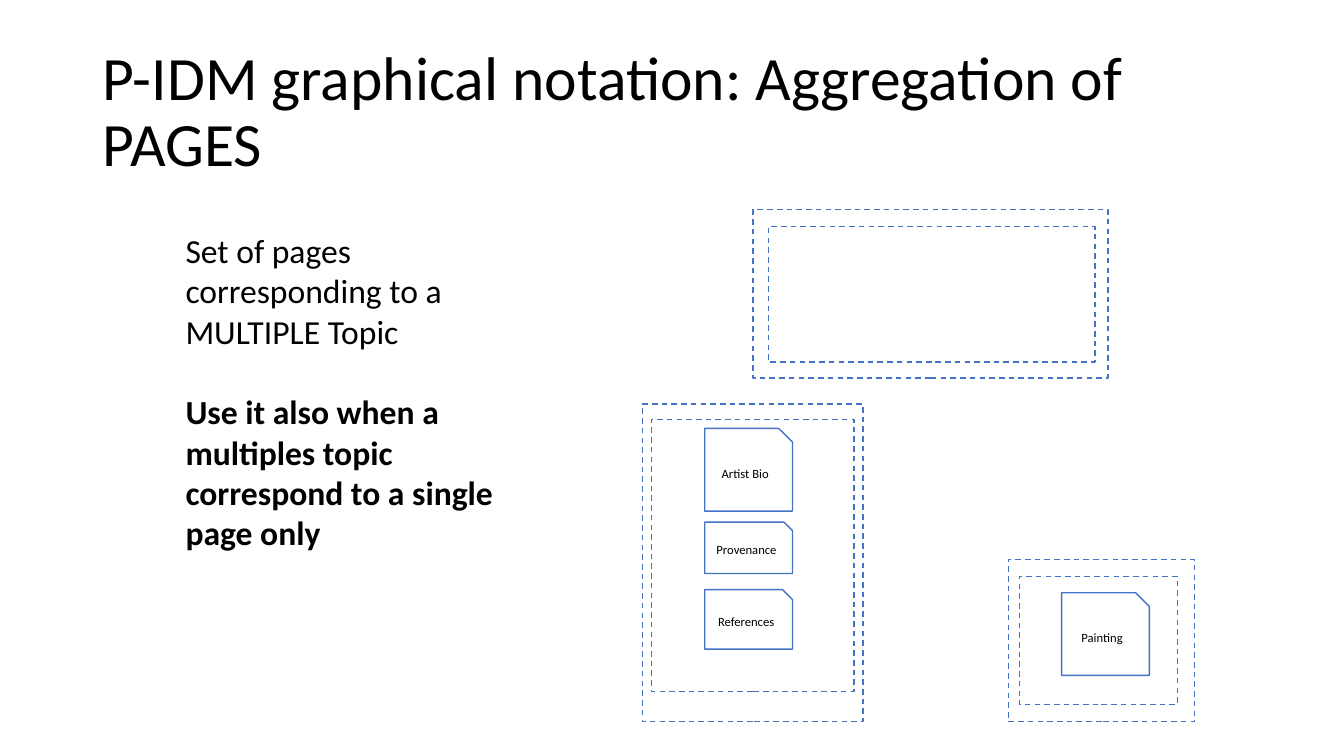
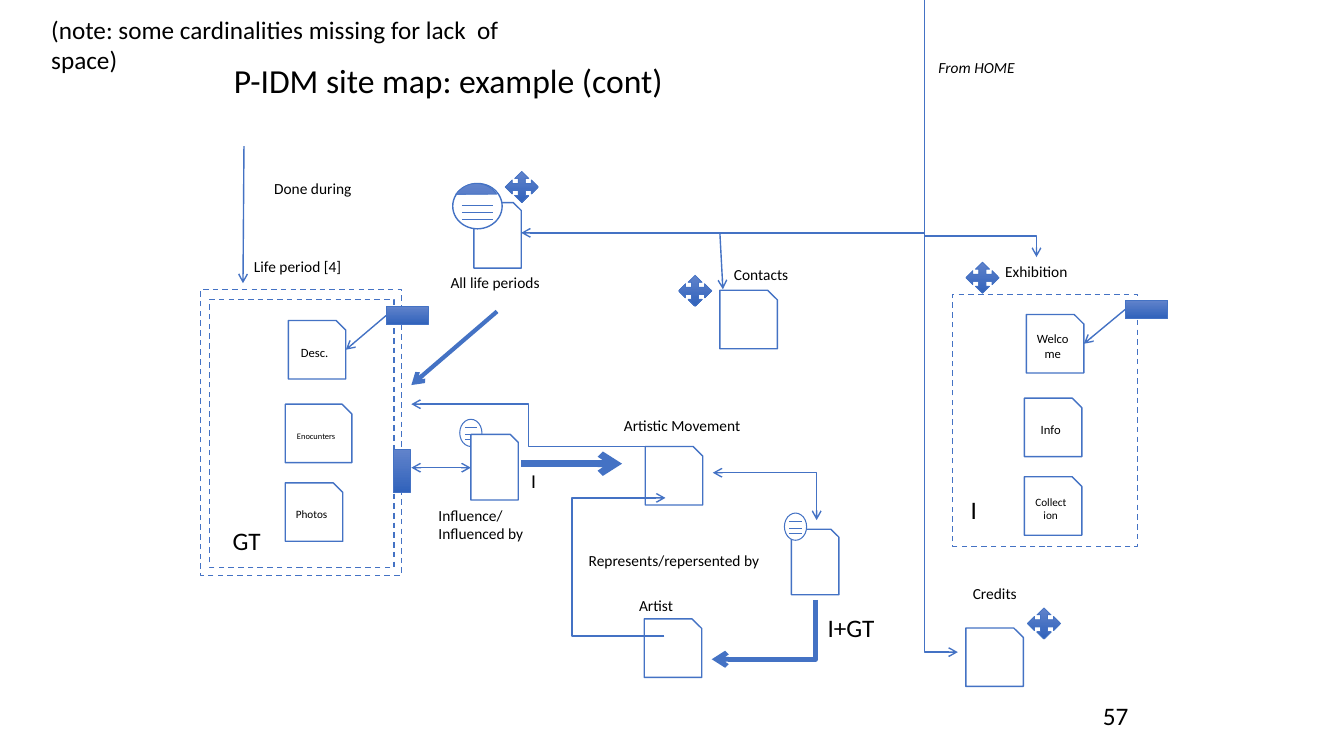
from lxml.etree import SubElement
from pptx import Presentation
from pptx.dml.color import RGBColor
from pptx.enum.dml import MSO_LINE
from pptx.enum.shapes import MSO_CONNECTOR, MSO_SHAPE
from pptx.enum.text import MSO_ANCHOR, MSO_AUTO_SIZE, PP_ALIGN
from pptx.oxml.ns import qn
from pptx.util import Inches, Pt

# Shared look
BLUE = RGBColor(0x44, 0x72, 0xC4)
BLUE_TOP = RGBColor(0x61, 0x83, 0xCB)
BLUE_BOTTOM = RGBColor(0x30, 0x62, 0xBB)
BLACK = RGBColor(0, 0, 0)
WHITE = RGBColor(255, 255, 255)
FONT = "Calibri"
SLIDE_SIZE = (13.33, 7.5)
CARD = (0.57, 0.58)
SHEET = (0.47, 0.65)
TAB = (0.42, 0.18)
CROSS = (0.33, 0.31)
VERTICAL_FIRST, MIDWAY, HORIZONTAL_FIRST = 0, 0.5, 1

# Slide 1: left, top, width, height
AGGREGATION = {
    "title": "P-IDM graphical notation: Aggregation of PAGES",
    "title_at": (0.92, 0.4, 11.5, 1.45),
    "title_size": 44,
    "body_at": (1.24, 2.23, 3.92, 3.33),
    "body": [
        ("Set of pages corresponding to a MULTIPLE Topic", False),
        ("Use it also when a multiples topic correspond to a single page only", True),
    ],
    "frames": [
        (10, 5.55, 1.85, 1.61), (10.11, 5.72, 1.57, 1.27),
        (7.47, 2.08, 3.52, 1.67), (7.62, 2.25, 3.24, 1.34),
        (6.37, 4.01, 2.19, 3.15), (6.46, 4.16, 2.01, 2.7),
    ],
    "pages": [
        ((6.99, 4.25, 0.87, 0.82), "Artist Bio", 9),
        ((6.99, 5.18, 0.87, 0.51), "Provenance", 9),
        ((6.99, 5.85, 0.87, 0.59), "References", 9),
        ((10.53, 5.88, 0.87, 0.82), "Painting", 9),
    ],
}

# Slide 2
SITE_MAP = {
    "title": "P-IDM site map: example (cont)",
    "title_at": (2.22, 0.21, 8.26, 1.22),
    "title_size": 24,
    "frames": [
        (1.99, 2.87, 1.99, 2.84), (2.08, 2.97, 1.83, 2.66),
        (9.45, 2.92, 1.83, 2.5),
    ],
    "pages": [
        ((2.86, 3.18, *CARD), "Desc.", 9),
        ((2.83, 4.01, 0.66, 0.58), "Enocunters", 6),
        ((2.83, 4.79, *CARD), "Photos", 8),
        ((10.18, 3.12, *CARD), "Welcome", 9),
        ((10.16, 3.95, *CARD), "Info", 9),
        ((10.16, 4.73, *CARD), "Collection", 8),
        ((7.14, 2.88, *CARD), "", 9),
        ((9.58, 6.23, *CARD), "", 9),
        ((6.39, 6.14, *CARD), "", 9),
        ((6.4, 4.43, *CARD), "", 9),
        ((4.7, 2.01, *SHEET), "", 9),
        ((4.67, 4.31, *SHEET), "", 9),
        ((7.85, 5.25, *SHEET), "", 9),
    ],
}
LABELS = [
    ((2.42, 2.5, 1.08, 0.29), "Life period [4]"),
    ((4.37, 2.66, 1.09, 0.29), "All life periods"),
    ((9.87, 2.55, 0.82, 0.29), "Exhibition"),
    ((7.18, 2.58, 0.75, 0.29), "Contacts"),
    ((9.55, 5.75, 0.64, 0.29), "Credits"),
    ((6.24, 5.86, 0.54, 0.29), "Artist"),
    ((6.09, 4.08, 1.37, 0.29), "Artistic Movement"),
    ((4.25, 4.97, 1.05, 0.66), "Influence/\nInfluenced by"),
    ((5.74, 5.42, 1.92, 0.29), "Represents/repersented by"),
    ((2.62, 1.73, 1.01, 0.29), "Done during"),
]
LARGE_LABELS = [
    ((2.21, 5.16, 0.84, 0.4), "GT"),
    ((9.53, 4.85, 0.84, 0.4), "I"),
    ((8.11, 6.03, 0.84, 0.4), "I+GT"),
    ((10.84, 6.9, 0.83, 0.4), "57"),
    ((0.41, 0.09, 5, 0.71), "(note: some cardinalities missing for lack  of space)"),
]
TABS = [(3.83, 3.04, *TAB), (11.16, 2.98, *TAB), (3.9, 4.46, 0.17, 0.43)]
CROSSES = [(9.58, 2.6), (6.73, 2.73), (5.01, 1.7), (10.19, 6.03)]
# start, end, width, arrow ends
STRAIGHT = [
    ((3.83, 3.13), (3.43, 3.47), 1),
    ((11.16, 3.07), (10.75, 3.41), 1),
    ((4.93, 3.09), (4.08, 3.82), 3),
    ((2.42, 1.45), (2.41, 2.81), 1),
    ((7.14, 2.31), (7.17, 2.87), 1),
    ((5.17, 4.6), (6.17, 4.6), 5),
]
# start, end, width, arrow ends, where the bend falls as a share of the run
BENT = [
    ((9.17, 0), (5.17, 2.31), 1, ("tailEnd",), VERTICAL_FIRST),
    ((9.17, 2.34), (10.28, 2.55), 1, ("tailEnd",), HORIZONTAL_FIRST),
    ((9.17, 2.31), (9.5, 6.47), 1, ("tailEnd",), VERTICAL_FIRST),
    ((6.59, 6.31), (6.6, 4.94), 1, ("tailEnd",), -93),
    ((8.09, 5.95), (7.06, 6.54), 3.5, ("tailEnd",), VERTICAL_FIRST),
    ((7.07, 4.69), (8.1, 5.16), 1, ("headEnd", "tailEnd"), HORIZONTAL_FIRST),
    ((6.4, 4.43), (4.08, 4.01), 1, ("tailEnd",), MIDWAY),
]
# ellipse, line inset, line offsets from its top, line width
SMALL_LIST = ((0.22, 0.27), 0.05, (0.08, 0.15, 0.2), 0.75)
LARGE_LIST = ((0.49, 0.45), 0.09, (0.22, 0.29, 0.36), 1)


def inches(values):
    return [Inches(value) for value in values]


def apply(target, formats):
    for name, value in formats.items():
        setattr(target, name, value)


def write(para, text, size, **formats):
    span = para.add_run()
    span.text = text
    apply(span.font, {"name": FONT, "size": Pt(size), **formats})
    span.font.color.rgb = BLACK


def add_box(page, kind, at, width=1, dashed=False, gradient=False):
    box = page.shapes.add_shape(kind, *inches(at))
    box.shadow.inherit = False
    if gradient:
        box.fill.gradient()
        box.fill.gradient_angle = 270
        for stop, colour in zip(box.fill.gradient_stops, (BLUE_TOP, BLUE_BOTTOM)):
            stop.color.rgb = colour
    else:
        box.fill.solid()
        box.fill.fore_color.rgb = WHITE
    box.line.color.rgb = BLUE
    box.line.width = Pt(width)
    if dashed:
        box.line.dash_style = MSO_LINE.DASH
    return box


def add_label(page, at, text, size, wrap=False, **formats):
    box = page.shapes.add_textbox(*inches(at))
    apply(box.text_frame, {"word_wrap": wrap, "auto_size": MSO_AUTO_SIZE.SHAPE_TO_FIT_TEXT})
    for index, row in enumerate(text.split("\n")):
        para = box.text_frame.add_paragraph() if index else box.text_frame.paragraphs[0]
        write(para, row, size, **formats)


def add_line(page, start, end, width=1, arrows=(), bend=None):
    kind = MSO_CONNECTOR.STRAIGHT if bend is None else MSO_CONNECTOR.ELBOW
    line = page.shapes.add_connector(kind, *inches(start + end))
    line.line.color.rgb = BLUE
    line.line.width = Pt(width)
    properties = line._element.spPr
    for arrow in arrows:
        SubElement(properties.find(qn("a:ln")), qn("a:" + arrow), type="arrow")
    SubElement(properties, qn("a:effectLst"))
    if bend is not None:
        guides = properties.find(qn("a:prstGeom")).get_or_add_avLst()
        SubElement(guides, qn("a:gd"), name="adj1", fmla=f"val {int(bend * 100000)}")


def add_list_icon(page, left, top, style):
    (wide, high), inset, offsets, width = style
    add_box(page, MSO_SHAPE.OVAL, (left, top, wide, high), width)
    for offset in offsets:
        add_line(page, (left + inset, top + offset), (left + wide - inset, top + offset), width)


def add_slide(deck, layout, content):
    page = deck.slides.add_slide(deck.slide_layouts[layout])
    title = page.shapes.title
    apply(title, dict(zip(("left", "top", "width", "height"), inches(content["title_at"]))))
    apply(title.text_frame, {"vertical_anchor": MSO_ANCHOR.MIDDLE, "word_wrap": True,
                             "auto_size": MSO_AUTO_SIZE.NONE})
    para = title.text_frame.paragraphs[0]
    apply(para, {"alignment": PP_ALIGN.LEFT, "line_spacing": 0.9})
    write(para, content["title"], content["title_size"])
    for at in content["frames"]:
        add_box(page, MSO_SHAPE.RECTANGLE, at, dashed=True)
    return page


def add_pages(page, content):
    for at, text, size in content["pages"]:
        box = add_box(page, MSO_SHAPE.SNIP_1_RECTANGLE, at)
        if text:
            apply(box.text_frame, {"word_wrap": True, "vertical_anchor": MSO_ANCHOR.MIDDLE})
            para = box.text_frame.paragraphs[0]
            para.alignment = PP_ALIGN.CENTER
            write(para, text, size)


deck = Presentation()
deck.slide_width, deck.slide_height = inches(SLIDE_SIZE)

# Slide 1: aggregation of pages
page = add_slide(deck, 1, AGGREGATION)
body = page.placeholders[1]
apply(body, dict(zip(("left", "top", "width", "height"), inches(AGGREGATION["body_at"]))))
body.text_frame.auto_size = MSO_AUTO_SIZE.NONE
for index, (text, bold) in enumerate(AGGREGATION["body"]):
    para = body.text_frame.add_paragraph() if index else body.text_frame.paragraphs[0]
    para.space_before = Pt(29 * index)
    properties = para._p.get_or_add_pPr()
    apply_indent = {"marL": str(Inches(0.5)), "indent": "0"}
    for name, value in apply_indent.items():
        properties.set(name, value)
    SubElement(properties, qn("a:buNone"))
    write(para, text, 24, bold=bold)
add_pages(page, AGGREGATION)

# Slide 2: site map
page = add_slide(deck, 5, SITE_MAP)
add_list_icon(page, 4.56, 4.16, SMALL_LIST)
add_pages(page, SITE_MAP)
add_list_icon(page, 7.78, 5.09, SMALL_LIST)
add_list_icon(page, 4.49, 1.82, LARGE_LIST)
cap = add_box(page, MSO_SHAPE.CHORD, (4.46, 1.82, 0.53, 0.59), 0.5, gradient=True)
cap.adjustments[0], cap.adjustments[1] = 133.51, 190.19

# Links between the pages
for start, end, width in STRAIGHT:
    add_line(page, start, end, width, ("tailEnd",))
add_line(page, (4.08, 4.64), (4.67, 4.64), 1, ("headEnd", "tailEnd"))
for link in BENT:
    add_line(page, *link)

# Markers and labels
for at in TABS:
    add_box(page, MSO_SHAPE.RECTANGLE, at, 0.5, gradient=True)
for corner in CROSSES:
    add_box(page, MSO_SHAPE.QUAD_ARROW, corner + CROSS, 0.5, gradient=True)
for at, text in LABELS:
    add_label(page, at, text, 11)
add_label(page, (9.21, 0.53, 1, 0.29), "From HOME", 11, italic=True)
add_label(page, (5.17, 4.6, 0.25, 0.34), "I", 14)
for at, text in LARGE_LABELS:
    add_label(page, at, text, 18, wrap=True)

deck.save("out.pptx")
